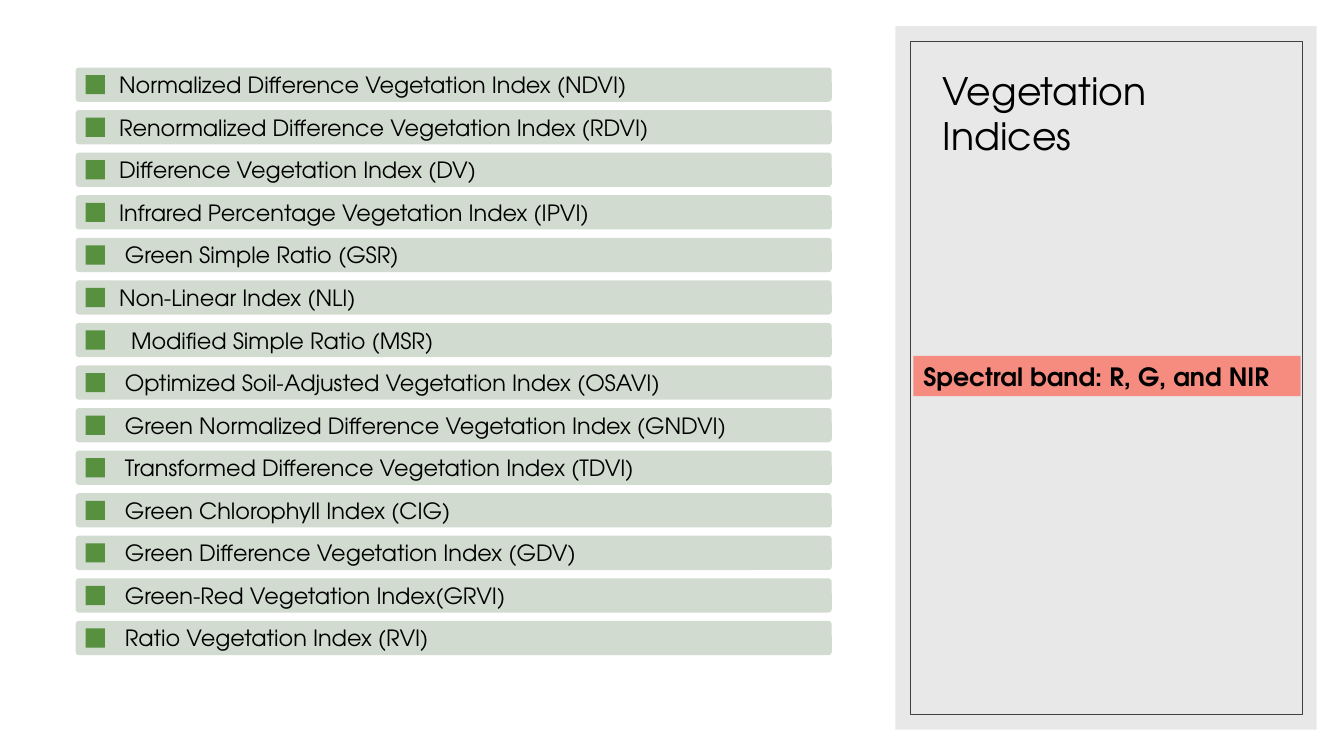
from pptx import Presentation
from pptx.dml.color import RGBColor
from pptx.enum.shapes import MSO_SHAPE
from pptx.enum.text import MSO_ANCHOR, MSO_AUTO_SIZE, PP_ALIGN
from pptx.oxml.ns import qn
from pptx.util import Inches, Pt
from lxml import etree

RECT, ROUNDED = MSO_SHAPE.RECTANGLE, MSO_SHAPE.ROUNDED_RECTANGLE
MIDDLE, BOTTOM = MSO_ANCHOR.MIDDLE, MSO_ANCHOR.BOTTOM
LEFT = PP_ALIGN.LEFT
NO_FIT = MSO_AUTO_SIZE.NONE

FONT = "TeX Gyre Adventor"
COLORS = {
    "panel": "D9D9D9", "frame": "404040", "row": "D1DBCF",
    "marker": "57903F", "band": "F68C80", "text": "000000",
}

# Each index name with the number of small indent steps before it
INDICES = [
    ("Normalized Difference Vegetation Index (NDVI)", 0),
    ("Renormalized Difference Vegetation Index (RDVI)", 0),
    ("Difference Vegetation Index (DV)", 0),
    ("Infrared Percentage Vegetation Index (IPVI)", 0),
    ("Green Simple Ratio (GSR)", 1),
    ("Non-Linear Index (NLI)", 0),
    ("Modified Simple Ratio (MSR)", 2),
    ("Optimized Soil-Adjusted Vegetation Index (OSAVI)", 1),
    ("Green Normalized Difference Vegetation Index (GNDVI)", 1),
    ("Transformed Difference Vegetation Index (TDVI)", 1),
    ("Green Chlorophyll Index (CIG)", 1),
    ("Green Difference Vegetation Index (GDV)", 1),
    ("Green-Red Vegetation Index(GRVI)", 1),
    ("Ratio Vegetation Index (RVI)", 1),
]
ROW_LEFT, ROW_WIDTH, ROW_HEIGHT = 0.75, 7.5, 0.34
FIRST_TOP, LAST_TOP = 0.67, 6.16
ROW_PITCH = (LAST_TOP - FIRST_TOP) / (len(INDICES) - 1)
MARKER_SIZE = 0.19
LABEL_LEFT = 1.14
INSET, INDENT_STEP = 0.04, 0.06


def add_block(shapes, kind, bounds, fill=None):
    """Add a flat shape without outline, filled only if a colour is named."""
    block = shapes.add_shape(kind, *map(Inches, bounds))
    block.shadow.inherit = False
    block.line.fill.background()
    if fill:
        block.fill.solid()
        block.fill.fore_color.rgb = RGBColor.from_string(COLORS[fill])
    else:
        block.fill.background()
    return block


def write_text(box, text, size, bold=False, **frame_format):
    """Put one left-aligned line of text in a box and format its frame."""
    frame = box.text_frame
    frame.word_wrap = True
    for name, value in frame_format.items():
        setattr(frame, name, value)
    para = frame.paragraphs[0]
    para.alignment = LEFT
    span = para.add_run()
    span.text = text
    for name, value in {"name": FONT, "size": Pt(size), "bold": bold}.items():
        setattr(span.font, name, value)
    span.font.color.rgb = RGBColor.from_string(COLORS["text"])


deck = Presentation()
deck.slide_width, deck.slide_height = Inches(13.33), Inches(7.5)
page = deck.slides.add_slide(deck.slide_layouts[5])

# Side panel with its thin frame
panel = add_block(page.shapes, RECT, (8.88, 0.26, 4.18, 6.98), "panel")
panel_color = panel.element.spPr.find(qn("a:solidFill"))[0]
etree.SubElement(panel_color, qn("a:alpha"), val="60000")
frame = add_block(page.shapes, RECT, (9.03, 0.41, 3.89, 6.68))
frame.line.color.rgb = RGBColor.from_string(COLORS["frame"])
frame.line.width = Pt(0.5)

# Title, stacked in front of the panel
title = page.shapes.title
title.left, title.top = Inches(9.25), Inches(0.66)
title.width, title.height = Inches(3.46), Inches(0.96)
frame.element.addnext(title.element)
write_text(title, "Vegetation Indices", 27, auto_size=NO_FIT, vertical_anchor=BOTTOM)

# List of indices
rows = page.shapes.add_group_shape()
for number, (name, steps) in enumerate(INDICES):
    top = FIRST_TOP + number * ROW_PITCH
    bar = add_block(rows.shapes, ROUNDED, (ROW_LEFT, top, ROW_WIDTH, ROW_HEIGHT), "row")
    bar.adjustments[0] = 0.1
    marker_top = top + (ROW_HEIGHT - MARKER_SIZE) / 2
    add_block(rows.shapes, RECT, (ROW_LEFT + 0.1, marker_top, MARKER_SIZE, MARKER_SIZE), "marker")
    label_width = ROW_LEFT + ROW_WIDTH - LABEL_LEFT
    label = rows.shapes.add_textbox(*map(Inches, (LABEL_LEFT, top, label_width, ROW_HEIGHT)))
    write_text(
        label, name, 16, vertical_anchor=MIDDLE,
        margin_left=Inches(INSET + steps * INDENT_STEP), margin_right=Inches(INSET),
        margin_top=Inches(INSET), margin_bottom=Inches(INSET),
    )

# Spectral band note
band = add_block(page.shapes, RECT, (9.06, 3.53, 3.84, 0.4), "band")
write_text(band, "Spectral band: R, G, and NIR", 18, bold=True, vertical_anchor=MIDDLE)

deck.save("out.pptx")
